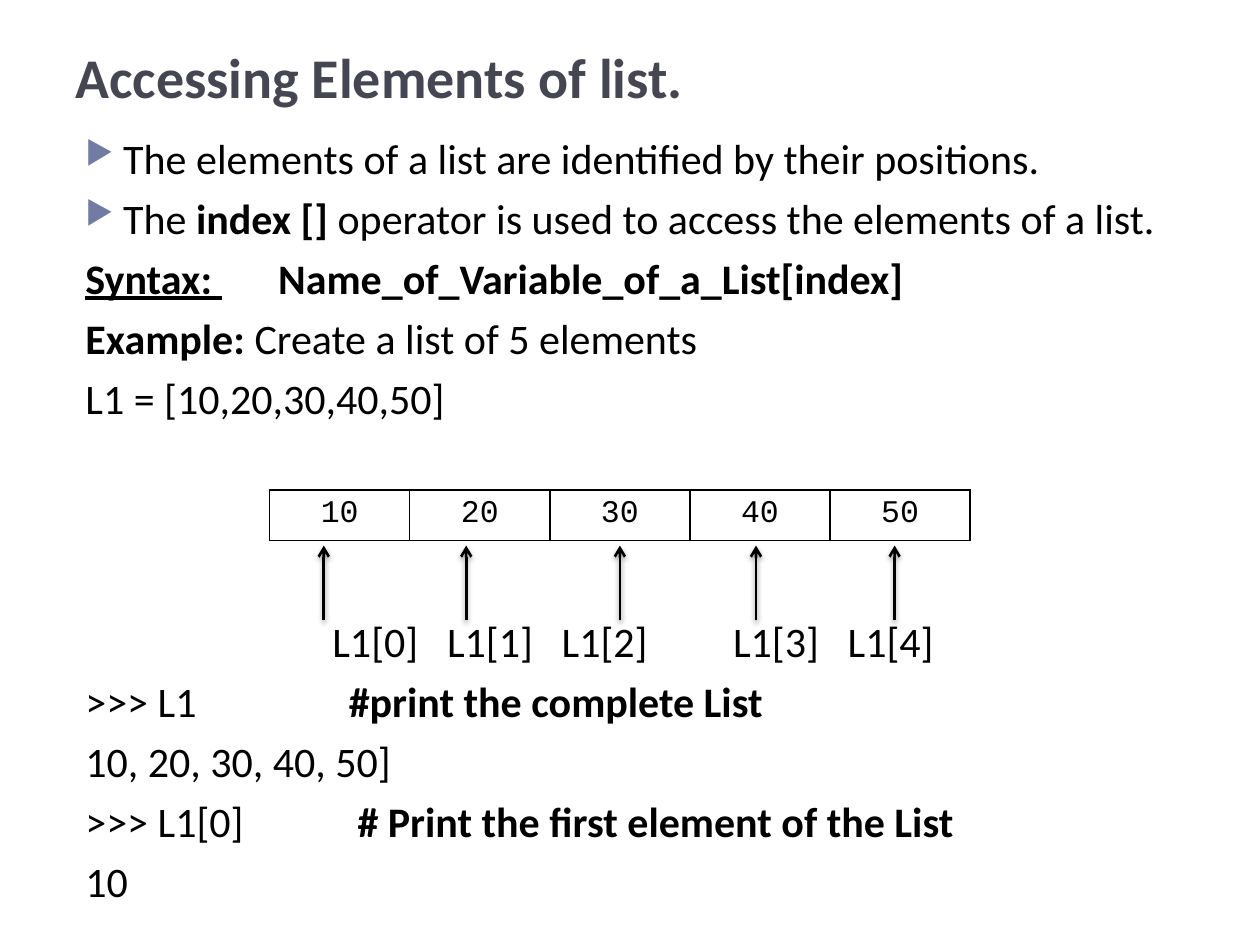
from lxml import etree
from pptx import Presentation
from pptx.dml.color import RGBColor
from pptx.enum.shapes import MSO_CONNECTOR
from pptx.enum.text import MSO_ANCHOR, PP_ALIGN
from pptx.oxml import parse_xml
from pptx.oxml.ns import nsdecls
from pptx.util import Inches, Pt

STRAIGHT = MSO_CONNECTOR.STRAIGHT
BOTTOM = MSO_ANCHOR.BOTTOM
LEFT, CENTER, JUSTIFY = PP_ALIGN.LEFT, PP_ALIGN.CENTER, PP_ALIGN.JUSTIFY

THEME = {
    "title": "464653", "text": "000000", "bullet": "727CA3",
    "font": "Calibri", "code_font": "Courier New",
    "title_size": 32, "body_size": 24, "cell_size": 18,
}


def add_run(paragraph, text, size=THEME["body_size"], font=THEME["font"],
            color=THEME["text"], bold=False, underline=False):
    run = paragraph.add_run()
    run.text = text
    run.font.size = Pt(size)
    run.font.name = font
    run.font.color.rgb = RGBColor.from_string(color)
    run.font.bold = bold
    run.font.underline = underline


def drawing_xml(tag, content):
    return parse_xml(f"<a:{tag} {nsdecls('a')}{content}")


prs = Presentation()
prs.slide_width, prs.slide_height = Inches(10), Inches(7.5)
slide = prs.slides.add_slide(prs.slide_layouts[6])

# Title
heading = slide.shapes.add_textbox(Inches(0.5), Inches(0.17), Inches(9), Inches(0.75)).text_frame
heading.word_wrap = True
heading.vertical_anchor = BOTTOM
heading.paragraphs[0].alignment = LEFT
add_run(heading.paragraphs[0], "Accessing Elements of list.", size=THEME["title_size"],
        color=THEME["title"], bold=True)

# Body lines: runs as (text, format), then bullet, tab stops and space before
BOLD = {"bold": True}
LINE_GAP = 5.5
lessons = [
    ([("The elements of a list are identified by their positions.", {})], True, [], LINE_GAP),
    ([("The ", {}), ("index [] ", BOLD),
      ("operator is used to access the elements of a list.", {})], True, [], LINE_GAP),
    ([("Syntax: ", {"bold": True, "underline": True}),
      ("\tName_of_Variable_of_a_List[index]", BOLD)], False, [1.53], LINE_GAP),
    ([("Example: ", BOLD), ("Create a list of 5 elements", {})], False, [], LINE_GAP),
    ([("L1 = [10,20,30,40,50]", {})], False, [], LINE_GAP),
    ([("".join(f"\tL1[{i}]" for i in range(5)), {})], False,
     [1.96, 2.87, 3.78, 5.14, 6.05], 110),
    ([(">>> L1", {}), ("\t#print the complete List", BOLD)], False, [2.09], LINE_GAP),
    ([("10, 20, 30, 40, 50]", {})], False, [], LINE_GAP),
    ([(">>> L1[0]", {}), ("\t# Print the first element of the List", BOLD)],
     False, [2.16], LINE_GAP),
    ([("10", {})], False, [], LINE_GAP),
]
body = slide.shapes.add_textbox(Inches(0.58), Inches(1), Inches(9), Inches(6.33)).text_frame
body.word_wrap = True
for number, (runs, bulleted, tabs, gap) in enumerate(lessons):
    line = body.add_paragraph() if number else body.paragraphs[0]
    line.alignment = JUSTIFY
    line.space_before = Pt(gap)
    for text, style in runs:
        add_run(line, text, **style)
    props = line._p.get_or_add_pPr()
    if bulleted:
        props.set("marL", str(Inches(0.3)))
        props.set("indent", str(Inches(-0.3)))
        props.append(drawing_xml("buClr", f'><a:srgbClr val="{THEME["bullet"]}"/></a:buClr>'))
        props.append(drawing_xml("buSzPct", ' val="76000"/>'))
        props.append(drawing_xml("buChar", ' char="▶"/>'))
    if tabs:
        stops = "".join(f'<a:tab pos="{Inches(t)}" algn="l"/>' for t in tabs)
        props.append(drawing_xml("tabLst", f">{stops}</a:tabLst>"))

# List values
values = [10, 20, 30, 40, 50]
value_table = slide.shapes.add_table(1, len(values), Inches(2.14), Inches(3.89),
                                     Inches(5.56), Inches(0.38)).table
value_table.first_row = False
value_table.horz_banding = False
for column, value in enumerate(values):
    value_table.columns[column].width = Inches(5.56 / len(values))
    cell = value_table.cell(0, column)
    cell.fill.background()
    paragraph = cell.text_frame.paragraphs[0]
    paragraph.alignment = CENTER
    add_run(paragraph, str(value), size=THEME["cell_size"], font=THEME["code_font"])
    cell_props = cell._tc.get_or_add_tcPr()
    for position, side in enumerate(("lnL", "lnR", "lnT", "lnB")):
        cell_props.insert(position, drawing_xml(
            side, f' w="{Pt(1)}"><a:solidFill><a:srgbClr val="{THEME["text"]}"/>'
                  f"</a:solidFill></a:{side}>"))

# Arrows from index labels to values
for x in (2.57, 3.7, 4.92, 6, 7.1):
    arrow = slide.shapes.add_connector(STRAIGHT, Inches(x), Inches(4.92), Inches(x), Inches(4.33))
    arrow.line.color.rgb = RGBColor.from_string(THEME["text"])
    arrow.line.width = Pt(1.5)
    etree.SubElement(arrow.line._get_or_add_ln(),
                     "{http://schemas.openxmlformats.org/drawingml/2006/main}tailEnd", type="arrow")
    arrow._element.spPr.append(drawing_xml(
        "effectLst", f'><a:outerShdw blurRad="{Pt(3)}" dist="{Pt(2)}" dir="5400000" rotWithShape="0">'
                     f'<a:srgbClr val="{THEME["text"]}"><a:alpha val="40000"/></a:srgbClr>'
                     "</a:outerShdw></a:effectLst>"))

prs.save("out.pptx")
